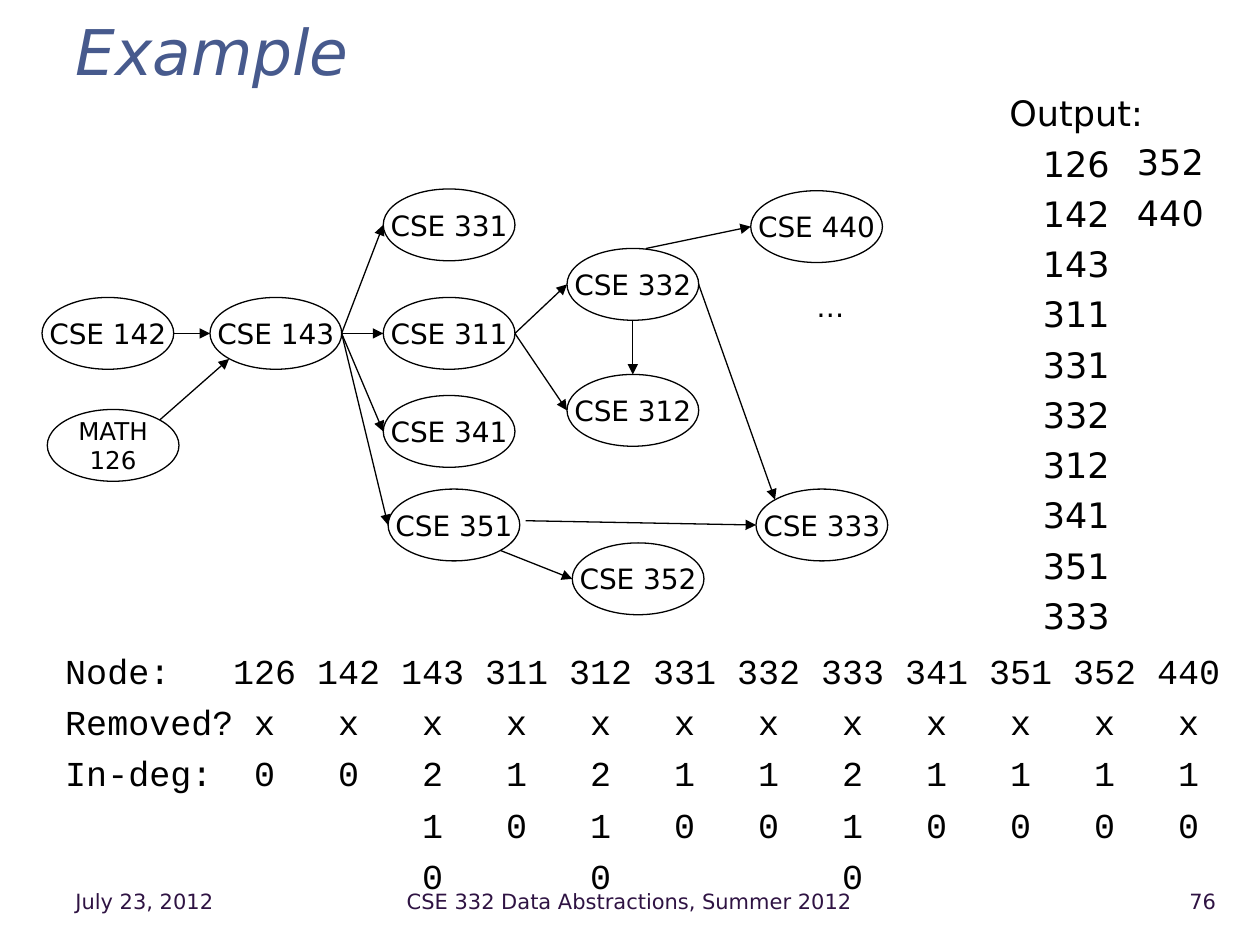
from dataclasses import dataclass

from lxml import etree
from pptx import Presentation
from pptx.dml.color import RGBColor
from pptx.enum.shapes import MSO_CONNECTOR, MSO_SHAPE
from pptx.enum.text import MSO_ANCHOR, MSO_AUTO_SIZE, PP_ALIGN
from pptx.oxml.ns import qn
from pptx.util import Pt

STRAIGHT = MSO_CONNECTOR.STRAIGHT
OVAL = MSO_SHAPE.OVAL
TOP, MIDDLE = MSO_ANCHOR.TOP, MSO_ANCHOR.MIDDLE
LEFT, CENTER, RIGHT = PP_ALIGN.LEFT, PP_ALIGN.CENTER, PP_ALIGN.RIGHT

BLACK = RGBColor(0x00, 0x00, 0x00)
TITLE_BLUE = RGBColor(0x47, 0x5A, 0x8D)
FOOTER_PURPLE = RGBColor(0x2F, 0x13, 0x43)
SANS, MONO = "DejaVu Sans", "Courier New"

NODE_W, NODE_H = 75.25, 41.05
LINE_W = 0.75
FIRST_COL, COL_STEP = 114, 48
OUTPUT_STEP = 28

E, W, N, S = (1, 0), (-1, 0), (0, -1), (0, 1)
NE, NW, SE, SW = (0.71, -0.71), (-0.71, -0.71), (0.71, 0.71), (-0.71, 0.71)


@dataclass
class Course:
    x: float
    y: float
    label: str
    size: float = 16

    def site(self, side: tuple) -> tuple:
        return (self.x + NODE_W / 2 * (1 + side[0]),
                self.y + NODE_H / 2 * (1 + side[1]))


@dataclass
class Edge:
    start: str
    end: str
    start_side: tuple = E
    end_side: tuple = W


@dataclass
class Label:
    x: float
    y: float
    w: float
    h: float
    text: str
    size: float = 20
    color: RGBColor = BLACK
    align: PP_ALIGN = LEFT
    anchor: MSO_ANCHOR = TOP
    font: str = SANS
    gap: float = 0


COURSES = {
    "142": Course(24, 170, "CSE 142"),
    "143": Course(120, 170, "CSE 143"),
    "331": Course(219, 108, "CSE 331"),
    "311": Course(219, 170, "CSE 311"),
    "341": Course(219, 226, "CSE 341"),
    "351": Course(221.75, 279.5, "CSE 351"),
    "332": Course(324, 142, "CSE 332"),
    "312": Course(324, 214, "CSE 312"),
    "352": Course(327, 310.25, "CSE 352"),
    "440": Course(429, 109, "CSE 440"),
    "333": Course(432, 279.5, "CSE 333"),
    "126": Course(27, 234, "MATH\n126", 14),
}

EDGES = [
    Edge("142", "143"),
    Edge("126", "143", NE, SW),
    Edge("143", "331"),
    Edge("143", "311"),
    Edge("143", "341"),
    Edge("143", "351"),
    Edge("311", "332"),
    Edge("311", "312"),
    Edge("332", "312", S, N),
    Edge("332", "333", E, NW),
    Edge("332", "440", (0.2, -1)),
    Edge("351", "333", (1.09, -0.12)),
    Edge("351", "352", SE),
]

DEGREE_ROWS = [
    ("Node:", "126 142 143 311 312 331 332 333 341 351 352 440"),
    ("Removed?", "x x x x x x x x x x x x"),
    ("In-deg:", "0 0 2 1 2 1 1 2 1 1 1 1"),
    ("", "- - 1 0 1 0 0 1 0 0 0 0"),
    ("", "- - 0 - 0 - - 0"),
]

OUTPUT = "Output:\n126\n142\n143\n311\n331\n332\n312\n341\n351\n333"

LABELS = [
    Label(36, 500.4, 126, 28.8, "July 23, 2012", 12, FOOTER_PURPLE,
          LEFT, MIDDLE),
    Label(167, 500.4, 385.2, 28.8, "CSE 332 Data Abstractions, Summer 2012",
          12, FOOTER_PURPLE, CENTER, MIDDLE),
    Label(640, 500.4, 62, 28.8, "76", 12, FOOTER_PURPLE, RIGHT, MIDDLE),
    Label(459.4, 162, 32.4, 26.6, "…", 16),
    Label(540, 49, 150, 354, OUTPUT, align=CENTER, gap=4.7),
    Label(616.3, 49 + OUTPUT_STEP, 105, 354 - OUTPUT_STEP, "352\n440",
          align=CENTER, gap=4.7),
]


def fill_text(tf, text: str, size: float, color: RGBColor,
              align: PP_ALIGN, font: str = SANS, gap: float = 0) -> None:
    tf.text = text
    for i, p in enumerate(tf.paragraphs):
        p.alignment = align
        p.space_before = Pt(gap if i else 0)
        for r in p.runs:
            r.font.name = font
            r.font.size = Pt(size)
            r.font.color.rgb = color


def add_label(s, label: Label):
    sp = s.shapes.add_textbox(Pt(label.x), Pt(label.y), Pt(label.w), Pt(label.h))
    tf = sp.text_frame
    tf.word_wrap = True
    tf.vertical_anchor = label.anchor
    fill_text(tf, label.text, label.size, label.color, label.align,
              label.font, label.gap)
    return sp


def add_course(s, course: Course) -> None:
    sp = s.shapes.add_shape(OVAL, Pt(course.x), Pt(course.y),
                            Pt(NODE_W), Pt(NODE_H))
    sp.shadow.inherit = False
    sp.fill.background()
    sp.line.color.rgb = BLACK
    sp.line.width = Pt(LINE_W)
    tf = sp.text_frame
    tf.word_wrap = False
    tf.vertical_anchor = MIDDLE
    fill_text(tf, course.label, course.size, BLACK, CENTER)


def add_edge(s, edge: Edge) -> None:
    x1, y1 = COURSES[edge.start].site(edge.start_side)
    x2, y2 = COURSES[edge.end].site(edge.end_side)
    line = s.shapes.add_connector(STRAIGHT, Pt(x1), Pt(y1), Pt(x2), Pt(y2))
    line.line.color.rgb = BLACK
    line.line.width = Pt(LINE_W)
    etree.SubElement(line.line._get_or_add_ln(), qn("a:tailEnd"), type="triangle")
    etree.SubElement(line._element.spPr, qn("a:effectLst"))


def add_degree_rows(s) -> None:
    rows = [
        "\t".join([name] + [v.replace("-", "") for v in values.split()])
        for name, values in DEGREE_ROWS
    ]
    sp = add_label(s, Label(30.2, 367.5, 689.8, 138, "\n".join(rows),
                            font=MONO, gap=5.3))
    columns = len(DEGREE_ROWS[0][1].split())
    for p in sp.text_frame.paragraphs:
        tabs = etree.SubElement(p._p.get_or_add_pPr(), qn("a:tabLst"))
        for i in range(columns):
            pos = Pt(FIRST_COL + i * COL_STEP)
            etree.SubElement(tabs, qn("a:tab"), pos=str(pos), algn="ctr")


def add_title(s) -> None:
    sp = s.shapes.title
    sp.left, sp.top, sp.width, sp.height = Pt(36), Pt(9.4), Pt(666), Pt(38.2)
    tf = sp.text_frame
    fill_text(tf, "Example", 36, TITLE_BLUE, LEFT)
    tf.auto_size = MSO_AUTO_SIZE.NONE
    tf.vertical_anchor = MIDDLE
    tf.paragraphs[0].runs[0].font.italic = True


def main() -> None:
    prs = Presentation()
    prs.slide_width, prs.slide_height = Pt(720), Pt(540)
    s = prs.slides.add_slide(prs.slide_layouts[5])
    add_title(s)
    add_degree_rows(s)
    for course in COURSES.values():
        add_course(s, course)
    for edge in EDGES:
        add_edge(s, edge)
    for label in LABELS:
        add_label(s, label)
    prs.save("out.pptx")


if __name__ == "__main__":
    main()
